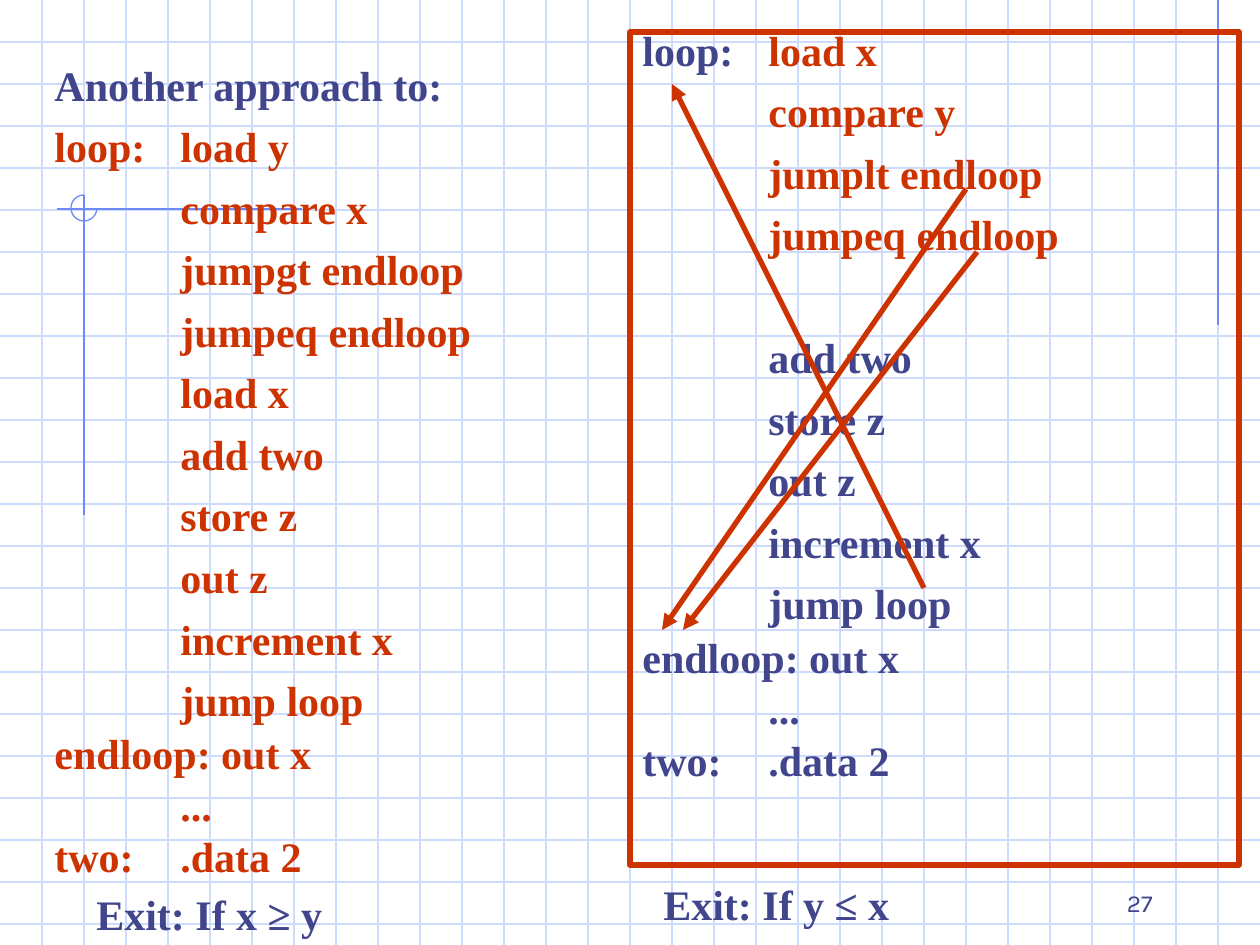
from dataclasses import dataclass

from lxml.etree import SubElement
from pptx import Presentation
from pptx.dml.color import RGBColor
from pptx.enum.shapes import MSO_CONNECTOR, MSO_SHAPE as Shape
from pptx.enum.text import MSO_ANCHOR as Anchor, PP_ALIGN as Align
from pptx.oxml.ns import qn
from pptx.util import Emu, Pt

PX_PER_INCH = 126
WIDTH, HEIGHT, GRID = 1260, 945, 42

BLUE = RGBColor(0x40, 0x45, 0x8C)
RED = RGBColor(0xCC, 0x33, 0x00)
GRID_BLUE = RGBColor(0xCF, 0xDB, 0xFD)
ACCENT_BLUE = RGBColor(0x6F, 0x89, 0xF7)

SERIF, SANS = "Times New Roman", "Karla"
LOOSE, TIGHT = 0.7, 0.5  # line spacing inside and after the loop
GAP, BLANK_LINE_GAP = 15, 50  # points before a paragraph


@dataclass
class Frame:
    left: int
    top: int
    width: int
    height: int


@dataclass
class Line:
    start: tuple[int, int]
    end: tuple[int, int]


@dataclass
class Span:
    text: str
    color: RGBColor


@dataclass
class Row:
    spans: list[Span]
    spacing: float = LOOSE
    gap: int = GAP


def px(length: int) -> Emu:
    return Emu(round(length * 914400 / PX_PER_INCH))


def draw_line(page, line: Line, color: RGBColor, weight: float, arrow: bool = False) -> None:
    connector = page.shapes.add_connector(
        MSO_CONNECTOR.STRAIGHT, *map(px, line.start + line.end))
    connector.line.color.rgb = color
    connector.line.width = Pt(weight)
    if arrow:
        SubElement(connector.line._get_or_add_ln(), qn("a:tailEnd"), type="triangle")
    SubElement(connector._element.spPr, qn("a:effectLst"))


def draw_outline(page, kind: Shape, frame: Frame, color: RGBColor, weight: float):
    shape = page.shapes.add_shape(
        kind, px(frame.left), px(frame.top), px(frame.width), px(frame.height))
    shape.shadow.inherit = False
    shape.fill.background()
    shape.line.color.rgb = color
    shape.line.width = Pt(weight)
    return shape


def add_box(page, frame: Frame):
    return page.shapes.add_textbox(
        px(frame.left), px(frame.top), px(frame.width), px(frame.height))


def format_span(span, color: RGBColor, font: str, size: int, bold: bool) -> None:
    span.font.name = font
    span.font.size = Pt(size)
    span.font.bold = bold
    span.font.color.rgb = color


def write_listing(box, rows: list[Row]) -> None:
    frame = box.text_frame
    frame.word_wrap = True
    frame.vertical_anchor = Anchor.TOP
    for index, row in enumerate(rows):
        para = frame.add_paragraph() if index else frame.paragraphs[0]
        tabs = SubElement(para._p.get_or_add_pPr(), qn("a:tabLst"))
        SubElement(tabs, qn("a:tab"), pos=str(px(PX_PER_INCH)), algn="l")
        para.alignment = Align.LEFT
        para.line_spacing = row.spacing
        if index:
            para.space_before = Pt(row.gap)
        for part in row.spans:
            span = para.add_run()
            span.text = part.text
            format_span(span, part.color, SERIF, 24, True)


def write_label(box, text: str, font: str, size: int, bold: bool) -> None:
    box.text_frame.word_wrap = True
    para = box.text_frame.paragraphs[0]
    para.text = text
    format_span(para.runs[0], BLUE, font, size, bold)


def code(color: RGBColor, *texts: str, spacing: float = LOOSE) -> list[Row]:
    return [Row([Span(text, color)], spacing) for text in texts]


def ending(color: RGBColor) -> list[Row]:
    return code(color, "endloop: out x", "\t...", "two:\t.data 2", spacing=TIGHT)


def draw_background(page) -> None:
    # Graph paper
    for y in range(GRID, HEIGHT, GRID):
        draw_line(page, Line((0, y), (WIDTH, y)), GRID_BLUE, 0.75)
    for x in range(GRID, WIDTH, GRID):
        draw_line(page, Line((x, 0), (x, HEIGHT)), GRID_BLUE, 0.75)
    # Accent lines with a three-quarter circle at their crossing
    for line in (Line((1218, 0), (1218, 325)),
                 Line((302, 209), (57, 209)),
                 Line((84, 195), (84, 515))):
        draw_line(page, line, ACCENT_BLUE, 0.75)
    arc = draw_outline(page, Shape.ARC, Frame(71, 195, 26, 26), ACCENT_BLUE, 0.75)
    arc.adjustments[0] = 0
    arc.adjustments[1] = 162  # 270 degrees


def main() -> None:
    deck = Presentation()
    deck.slide_width, deck.slide_height = px(WIDTH), px(HEIGHT)
    page = deck.slides.add_slide(deck.slide_layouts[6])
    draw_background(page)

    # Left listing
    shared = ("\tadd two", "\tstore z", "\tout z", "\tincrement x", "\tjump loop")
    left_rows = (code(BLUE, "Another approach to:")
                 + code(RED, "loop:\tload y", "\tcompare x", "\tjumpgt endloop",
                        "\tjumpeq endloop", "\tload x", *shared)
                 + ending(RED))
    write_listing(add_box(page, Frame(42, 67, 546, 895)), left_rows)

    # Right listing in its red frame
    body = code(BLUE, *shared)
    body[0].gap = BLANK_LINE_GAP
    right_rows = ([Row([Span("loop:\t", BLUE), Span("load x", RED)])]
                  + code(RED, "\tcompare y", "\tjumplt endloop", "\tjumpeq endloop")
                  + body + ending(BLUE))
    panel = draw_outline(page, Shape.RECTANGLE, Frame(630, 32, 609, 833), RED, 3)
    write_listing(panel, right_rows)

    # Exit conditions
    for frame, text in ((Frame(84, 882, 451, 63), "Exit: If x ≥ y"),
                        (Frame(651, 872, 451, 63), "Exit: If y ≤ x")):
        write_label(add_box(page, frame), text, SERIF, 24, True)

    # Jump arrows
    for jump in (Line((966, 189), (662, 630)),
                 Line((977, 252), (683, 630)),
                 Line((924, 588), (672, 84))):
        draw_line(page, jump, RED, 3, arrow=True)

    # Page number
    number = add_box(page, Frame(903, 861, 262, 63))
    write_label(number, "27", SANS, 14, False)
    number.text_frame.vertical_anchor = Anchor.BOTTOM
    number.text_frame.paragraphs[0].alignment = Align.RIGHT

    deck.save("out.pptx")


if __name__ == "__main__":
    main()
